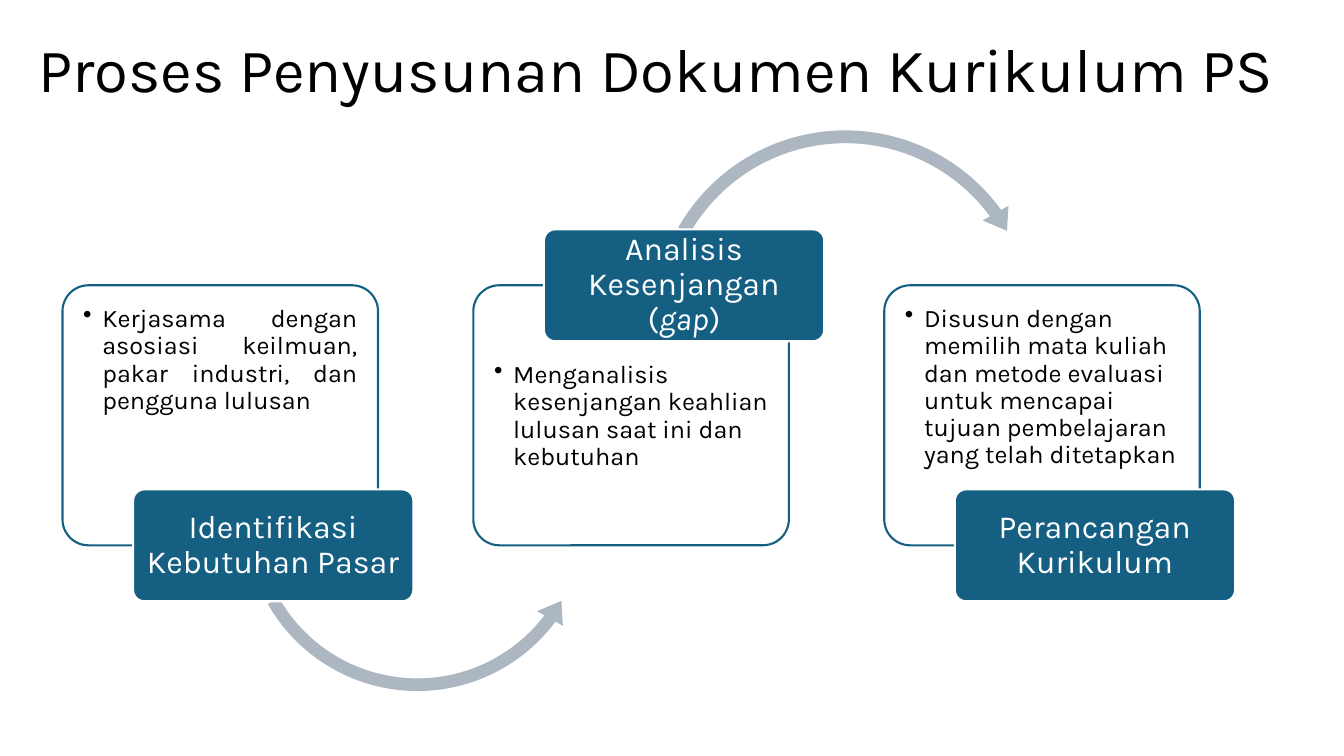
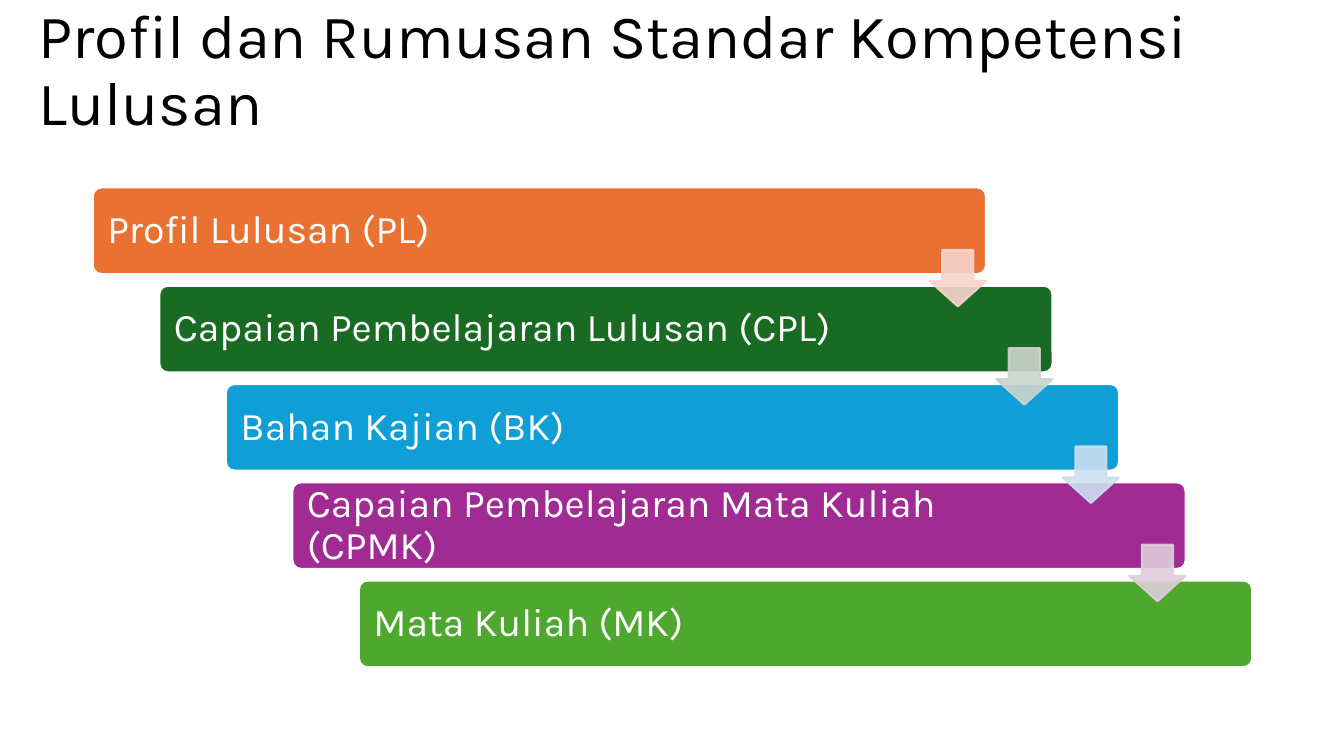
from lxml.etree import SubElement
from pptx import Presentation
from pptx.dml.color import RGBColor
from pptx.enum.shapes import MSO_SHAPE as Preset
from pptx.enum.text import MSO_ANCHOR as Anchor, MSO_AUTO_SIZE as AutoSize, PP_ALIGN as Align
from pptx.oxml.ns import qn
from pptx.util import Inches, Pt

FONT = "Karla"
COLORS = {
    "text": "000000", "white": "FFFFFF", "blue": "156082", "arrow": "ACB7C1",
    "orange": "E97132", "green": "196B24", "sky": "0F9ED5",
    "purple": "A02B93", "lime": "4EA72E",
    "pale_orange": "F7D5CE", "pale_green": "CCD4CD",
    "pale_sky": "CCDFEF", "pale_purple": "DFCDDC",
}
TITLE_BOX = (0.28, 0.29, 12.59, 0.85)

# Process grid: three columns, each with a card and an overlapping label
COLUMN_LEFT, COLUMN_PITCH = 0.62, 4.075
CARD_TOP, CARD_WIDTH, CARD_HEIGHT = 2.83, 3.13, 2.58
LABEL_SHIFT, LABEL_WIDTH, LABEL_HEIGHT = 0.7, 2.78, 1.11
CARD_INSET = 0.13

# Staircase grid: every step moves right and down
STEP_LEFT, STEP_TOP, STEP_WIDTH, STEP_HEIGHT = 0.92, 1.86, 8.86, 0.86
STEP_RIGHT, STEP_DOWN = 0.66, 0.975
ARROW_SIZE, ARROW_DROP = 0.56, 0.62

# Body text, label text, whether the label sits on top, body alignment
PROCESS = [
    ("Kerjasama dengan asosiasi keilmuan, pakar industri, dan pengguna lulusan",
     "Identifikasi Kebutuhan Pasar", False, Align.JUSTIFY),
    ("Menganalisis kesenjangan keahlian lulusan saat ini dan kebutuhan",
     "Analisis Kesenjangan (*gap*)", True, Align.LEFT),
    ("Disusun dengan memilih mata kuliah dan metode evaluasi untuk mencapai "
     "tujuan pembelajaran yang telah ditetapkan",
     "Perancangan Kurikulum", False, Align.LEFT),
]
# Preset, shift from column, top, size, adjustments
CURVED_ARROWS = [
    (Preset.LEFT_CIRCULAR_ARROW, 1.73, 3.36, 3.58, (0.035, 4.361, 22.116, 90.245, 0.041)),
    (Preset.CIRCULAR_ARROW, 1.7, 1.21, 3.98, (0.032, 3.89, 194.355, 125.755, 0.037)),
]
STEPS = [
    ("Profil Lulusan (PL)", "orange"),
    ("Capaian Pembelajaran Lulusan (CPL)", "green"),
    ("Bahan Kajian (BK)", "sky"),
    ("Capaian Pembelajaran Mata Kuliah (CPMK)", "purple"),
    ("Mata Kuliah (MK)", "lime"),
]


def rgb(name):
    return RGBColor.from_string(COLORS[name])


def place(shape, box):
    shape.left, shape.top, shape.width, shape.height = map(Inches, box)


def write_text(shape, text, size, color="white", align=Align.LEFT,
               anchor=Anchor.MIDDLE, insets=(0.1, 0.05, 0.1, 0.05), bullet=False):
    """Write one paragraph; parts between asterisks are italic."""
    frame = shape.text_frame
    frame.word_wrap = True
    frame.auto_size = AutoSize.NONE
    frame.vertical_anchor = anchor
    (frame.margin_left, frame.margin_top,
     frame.margin_right, frame.margin_bottom) = map(Inches, insets)
    paragraph = frame.paragraphs[0]
    paragraph.alignment = align
    paragraph.line_spacing = 0.9
    if bullet:
        properties = paragraph._p.get_or_add_pPr()
        properties.set("marL", str(Inches(0.19)))
        properties.set("indent", str(-Inches(0.19)))
        SubElement(properties, qn("a:buChar")).set("char", "•")
    for index, part in enumerate(text.split("*")):
        run = paragraph.add_run()
        run.text = part
        run.font.name = FONT
        run.font.size = Pt(size)
        run.font.color.rgb = rgb(color)
        if index % 2:
            run.font.italic = True


def set_opacity(shape, share, parts):
    for part in parts:
        for color in shape.element.xpath(f"p:spPr/{part}/a:srgbClr"):
            SubElement(color, qn("a:alpha")).set("val", str(int(share * 100000)))


def add_figure(slide, preset, box, fill, line=None, adjustments=(0.1,)):
    shape = slide.shapes.add_shape(preset, *map(Inches, box))
    shape.shadow.inherit = False
    for index, value in enumerate(adjustments):
        shape.adjustments[index] = value
    shape.fill.solid()
    shape.fill.fore_color.rgb = rgb(fill)
    if line:
        shape.line.color.rgb = rgb(line)
        shape.line.width = Pt(1.5)
    else:
        shape.line.fill.background()
    return shape


def add_titled_slide(presentation, title):
    slide = presentation.slides.add_slide(presentation.slide_layouts[5])
    place(slide.shapes.title, TITLE_BOX)
    write_text(slide.shapes.title, title, size=44, color="text")
    return slide


def add_card(slide, left, text, label_on_top, align):
    card = add_figure(slide, Preset.ROUNDED_RECTANGLE,
                      (left, CARD_TOP, CARD_WIDTH, CARD_HEIGHT), "white", "blue")
    set_opacity(card, 0.9, ["a:solidFill"])
    top_inset = CARD_INSET + (LABEL_HEIGHT / 2 if label_on_top else 0)
    write_text(card, text, size=18, color="text", align=align, anchor=Anchor.TOP,
               insets=(CARD_INSET, top_inset, CARD_INSET, CARD_INSET), bullet=True)


def add_label(slide, left, text, on_top):
    edge = CARD_TOP if on_top else CARD_TOP + CARD_HEIGHT
    label = add_figure(slide, Preset.ROUNDED_RECTANGLE,
                       (left + LABEL_SHIFT, edge - LABEL_HEIGHT / 2, LABEL_WIDTH, LABEL_HEIGHT),
                       "blue", "white")
    write_text(label, text, size=23, align=Align.CENTER, insets=(0.05, 0.03, 0.05, 0.03))


def add_process(slide):
    for column, (body, label, on_top, align) in enumerate(PROCESS):
        left = COLUMN_LEFT + column * COLUMN_PITCH
        add_card(slide, left, body, on_top, align)
        if column < len(CURVED_ARROWS):
            preset, shift, top, size, adjustments = CURVED_ARROWS[column]
            add_figure(slide, preset, (left + shift, top, size, size), "arrow",
                       adjustments=adjustments)
        add_label(slide, left, label, on_top)


def add_staircase(slide):
    corners = [(STEP_LEFT + index * STEP_RIGHT, STEP_TOP + index * STEP_DOWN)
               for index in range(len(STEPS))]
    for (left, top), (text, color) in zip(corners, STEPS):
        step = add_figure(slide, Preset.ROUNDED_RECTANGLE,
                          (left, top, STEP_WIDTH, STEP_HEIGHT), color, "white")
        write_text(step, text, size=28, insets=(0.12, 0.12, 1.35, 0.12))
    # Arrows lie over the steps, flush with each right edge
    for (left, top), (_, color) in zip(corners[:-1], STEPS):
        pale = f"pale_{color}"
        arrow = add_figure(slide, Preset.DOWN_ARROW,
                           (left + STEP_WIDTH - ARROW_SIZE, top + ARROW_DROP,
                            ARROW_SIZE, ARROW_SIZE),
                           pale, pale, adjustments=(0.55, 0.45))
        set_opacity(arrow, 0.9, ["a:solidFill", "a:ln/a:solidFill"])


def main():
    presentation = Presentation()
    presentation.slide_width = Inches(13.33)
    presentation.slide_height = Inches(7.5)
    add_process(add_titled_slide(presentation, "Proses Penyusunan Dokumen Kurikulum PS"))
    add_staircase(add_titled_slide(presentation, "Profil dan Rumusan Standar Kompetensi Lulusan"))
    presentation.save("out.pptx")


if __name__ == "__main__":
    main()
